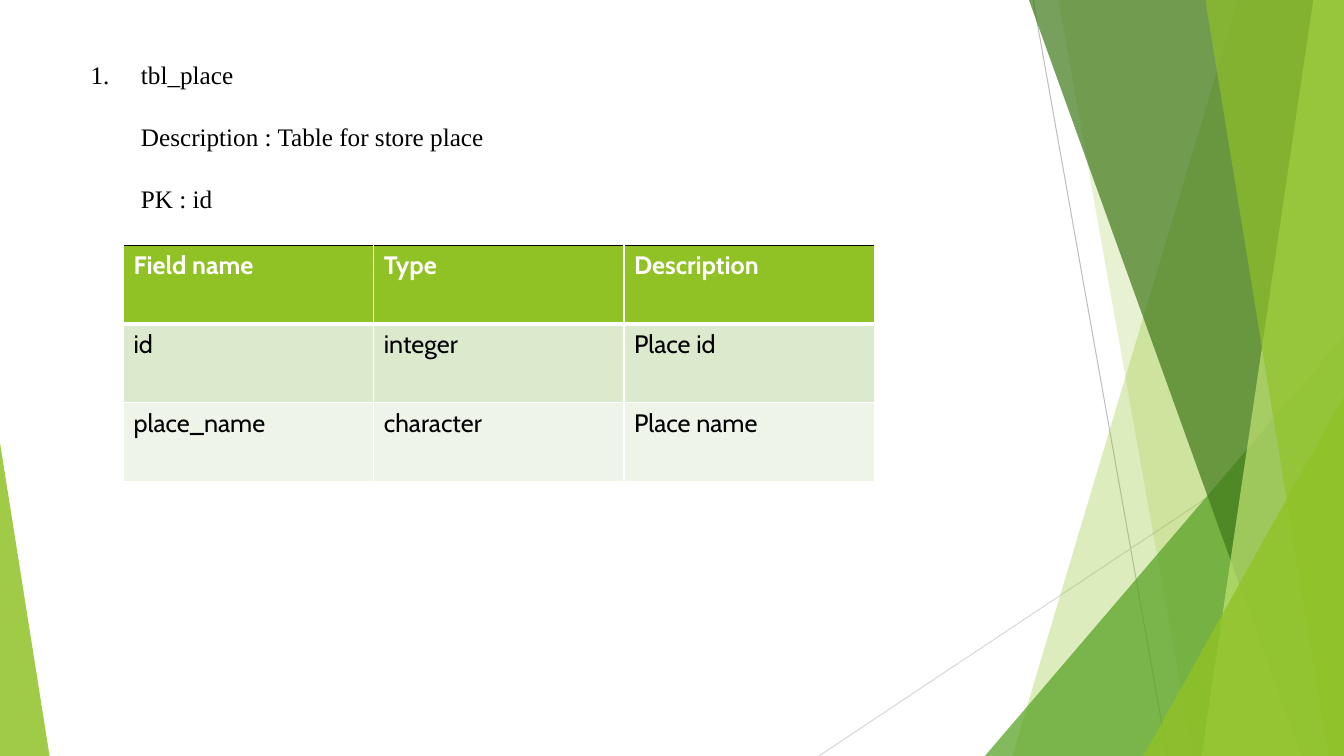
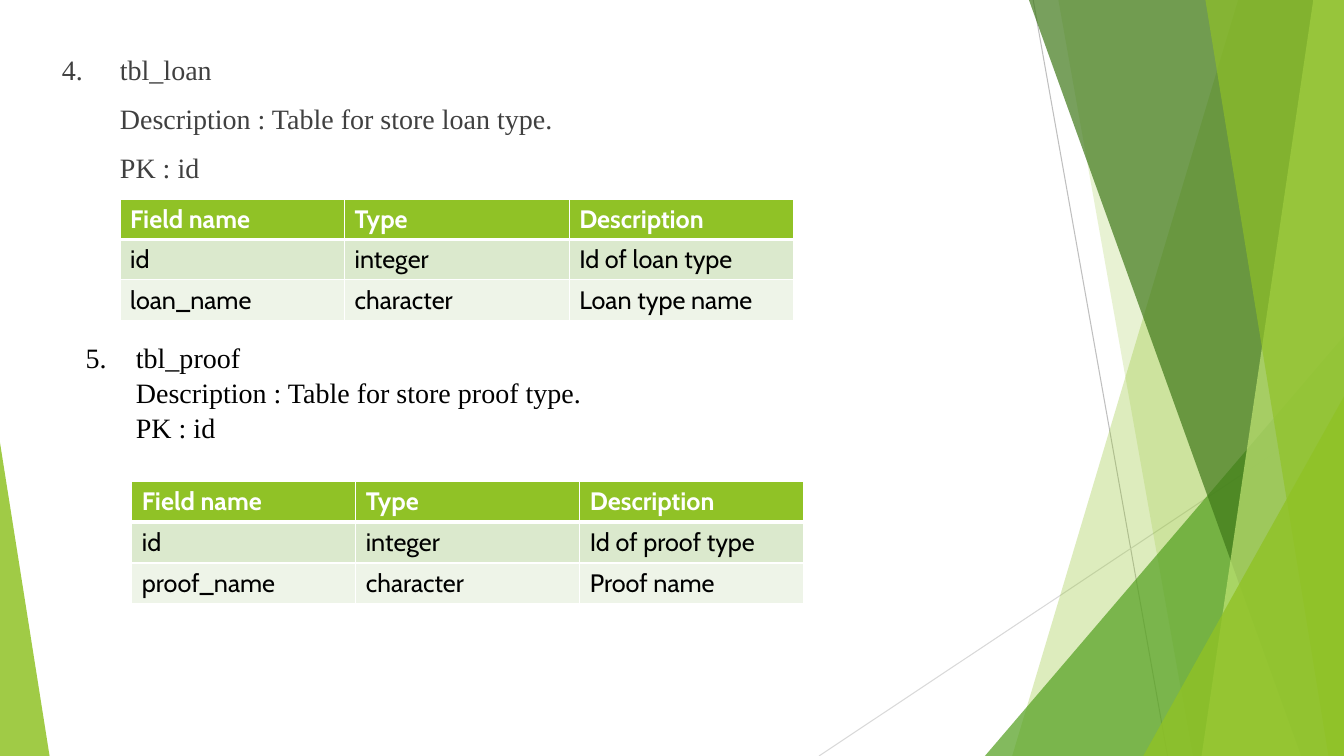
from lxml import etree
from pptx import Presentation
from pptx.dml.color import RGBColor
from pptx.enum.shapes import MSO_CONNECTOR, MSO_SHAPE
from pptx.oxml.ns import qn
from pptx.util import Emu, Inches, Pt

LINE = MSO_CONNECTOR.STRAIGHT
WEDGE = MSO_SHAPE.ISOSCELES_TRIANGLE
COLS, ROWS = 160, 90
UNIT = Inches(7.5) / ROWS
SERIF, SANS = "Times New Roman", "Cabin"
GREEN, WHITE, BLACK, GREY = "90C226", "FFFFFF", "000000", "404040"
BANDS = [GREEN, "DBE9CD", "EEF4E8"]
HEAD = ["Field name", "Type", "Description"]

RULES = [((123, 0), (139, 90), "BFBFBF"), ((160, 48.4), (97.5, 90), "D9D9D9")]
BACK = [(147.4, 120.5, GREEN, 30), (126, 142, GREEN, 20)]
FRONT = [
    (122.5, 154.9, "3F7819", 70),
    (156.35, 143.05, "C0E474", 70),
    (143.5, 158.15, GREEN, 65),
]
DEEP = ((117.25, 40, 42.75, 50), 1, "54A021", 72)
NEAR = [((136.1, 47.2, 23.9, 42.8), 1, GREEN, 80), ((0, 52.7, 5.9, 37.3), 0, GREEN, 85)]


def color(text):
    return RGBColor.from_string(text)


def grid(*spans):
    return [Emu(round(span * UNIT)) for span in spans]


def node(parent, tag, **attrs):
    return etree.SubElement(parent, qn(tag), attrs)


def style(para, font, size, tint, bold=False):
    for run in para.runs:
        run.font.name = font
        run.font.size = Pt(size)
        run.font.bold = bold
        run.font.color.rgb = color(tint)


def paint(shape, tint, share):
    shape.shadow.inherit = False
    shape.fill.solid()
    shape.fill.fore_color.rgb = color(tint)
    fill = shape.element.spPr.find(qn("a:solidFill"))
    node(fill[0], "a:alpha", val=str(share * 1000))
    shape.line.fill.background()


def rule(slide, start, end, tint):
    line = slide.shapes.add_connector(LINE, *grid(*start, *end))
    line.line.color.rgb = color(tint)
    line.line.width = Pt(0.75)
    node(line.element.spPr, "a:effectLst")


def blade(slide, top, foot, tint, share):
    pen = slide.shapes.build_freeform(*grid(top, 0))
    edge = [(COLS, 0), (COLS, ROWS), (foot, ROWS)]
    pen.add_line_segments([grid(*point) for point in edge], close=True)
    paint(pen.convert_to_shape(), tint, share)


def wedge(slide, box, peak, tint, share):
    shape = slide.shapes.add_shape(WEDGE, *grid(*box))
    shape.adjustments[0] = peak
    paint(shape, tint, share)


def decor(slide):
    for item in RULES:
        rule(slide, *item)
    for item in BACK:
        blade(slide, *item)
    wedge(slide, *DEEP)
    for item in FRONT:
        blade(slide, *item)
    for item in NEAR:
        wedge(slide, *item)


def share(slide):
    layout = slide.slide_layout
    for holder in list(layout.placeholders):
        holder.element.getparent().remove(holder.element)
    decor(slide)
    for shape in list(slide.shapes):
        layout.shapes.element.append(shape.element)


def intro(slide, box, start, lines, size, gap, hang=6, tint=BLACK):
    frame = slide.shapes.add_textbox(*grid(*box)).text_frame
    frame.word_wrap = True
    frame.text = "\n".join(lines)
    inset = str(grid(hang)[0])
    for index, para in enumerate(frame.paragraphs):
        style(para, SERIF, size, tint)
        props = para._p.get_or_add_pPr()
        props.set("marL", inset)
        if index:
            para.space_before = Pt(gap)
        else:
            props.set("indent", "-" + inset)
            node(props, "a:buAutoNum", type="arabicPeriod", startAt=str(start))


def border(cell, row, top):
    props = cell._tc.get_or_add_tcPr()
    sides = [
        ("L", WHITE, 1),
        ("R", WHITE, 1),
        ("T", WHITE if row else top, 3 if row == 1 else 1),
        ("B", WHITE, 1 if row else 3),
    ]
    for side, tint, width in sides:
        line = node(props, "a:ln" + side, w=str(Pt(width)))
        node(node(line, "a:solidFill"), "a:srgbClr", val=tint)


def fields(slide, box, rows, top=WHITE):
    data = [HEAD] + rows
    frame = slide.shapes.add_table(len(data), len(HEAD), *grid(*box))
    for row, texts in enumerate(data):
        for col, text in enumerate(texts):
            cell = frame.table.cell(row, col)
            border(cell, row, top)
            cell.fill.solid()
            cell.fill.fore_color.rgb = color(BANDS[row])
            cell.text_frame.text = text
            style(cell.text_frame.paragraphs[0], SANS, 18, BLACK if row else WHITE, row == 0)


def place(slide):
    lines = ["tbl_place", "Description : Table for store place", "PK : id"]
    intro(slide, (9.6, 6.5, 80, 19.4), 1, lines, 18, 22.5)
    rows = [["id", "integer", "Place id"], ["place_name", "character", "Place name"]]
    fields(slide, (14.7, 29.2, 89.4, 28.1), rows, BLACK)


def loan(slide):
    lines = ["tbl_loan", "Description : Table for store loan type.", "PK : id"]
    intro(slide, (6.2, 5.7, 115.4, 17.4), 4, lines, 20, 10.9, 6.9, GREY)
    rows = [["id", "integer", "Id of loan type"], ["loan_name", "character", "Loan type name"]]
    fields(slide, (14.3, 23.7, 80.2, 14.4), rows)


def proof(slide):
    lines = ["tbl_proof", "Description : Table for store proof type.", "PK : id"]
    intro(slide, (9, 40, 80, 17.4), 5, lines, 20, 0.9)
    rows = [["id", "integer", "Id of proof type"], ["proof_name", "character", "Proof name"]]
    fields(slide, (15.7, 57.3, 80, 14.6), rows)


def main():
    deck = Presentation()
    deck.slide_width, deck.slide_height = grid(COLS, ROWS)
    blank = deck.slide_layouts[6]
    first, second = [deck.slides.add_slide(blank) for _ in range(2)]
    share(first)
    place(first)
    loan(second)
    proof(second)
    deck.save("out.pptx")


if __name__ == "__main__":
    main()
